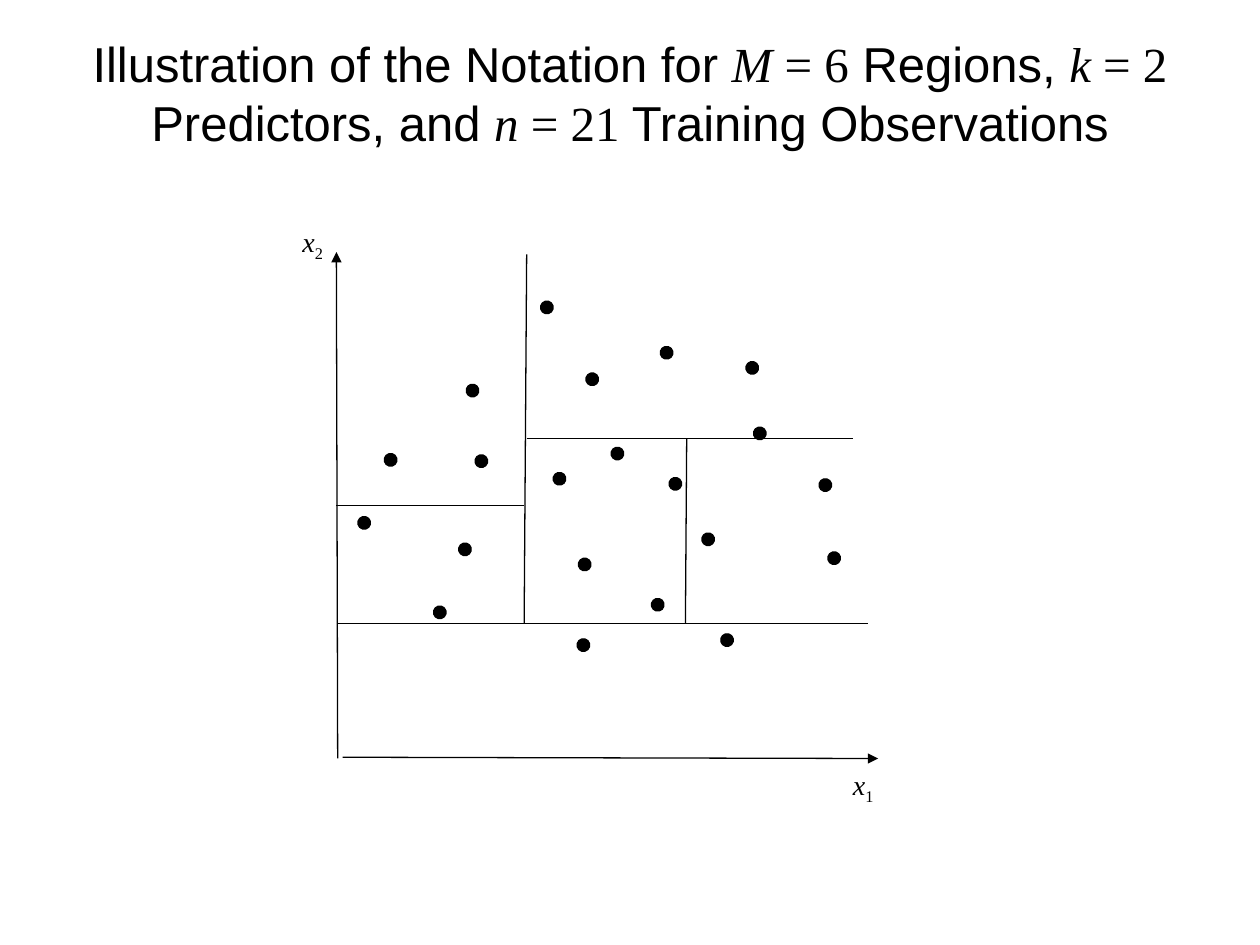
from dataclasses import dataclass

from lxml.etree import SubElement
from pptx import Presentation
from pptx.dml.color import RGBColor
from pptx.enum.shapes import MSO_CONNECTOR as LINK, MSO_SHAPE as SHAPE
from pptx.enum.text import MSO_ANCHOR as ANCHOR, MSO_AUTO_SIZE as FIT, PP_ALIGN as ALIGN
from pptx.oxml.ns import qn
from pptx.util import Inches, Pt


@dataclass(frozen=True)
class Theme:
    ink: RGBColor = RGBColor(0, 0, 0)
    sans: str = "Arial"
    serif: str = "Times New Roman"
    title: Pt = Pt(28)
    label: Pt = Pt(16)
    line: Pt = Pt(0.75)


theme = Theme()


def add_run(par, text, size, face, slant=False):
    run = par.add_run()
    run.text = text
    font = run.font
    font.size, font.name, font.italic = size, face, slant
    font.color.rgb = theme.ink
    return run


def add_line(x1, y1, x2, y2, arrow=False):
    line = slide.shapes.add_connector(LINK.STRAIGHT, *map(Inches, (x1, y1, x2, y2)))
    line.line.color.rgb = theme.ink
    line.line.width = theme.line
    if arrow:
        SubElement(line.line._get_or_add_ln(), qn("a:tailEnd"), type="triangle")
    SubElement(line._element.spPr, qn("a:effectLst"))


deck = Presentation()
deck.slide_width, deck.slide_height = Inches(10), Inches(7.5)
slide = deck.slides.add_slide(deck.slide_layouts[5])

# Title, with the symbols in serif
title = slide.shapes.title
title.left, title.top = Inches(0.5), Inches(0.3)
title.width, title.height = Inches(9), Inches(0.87)
frame = title.text_frame
frame.word_wrap = True
frame.auto_size = FIT.NONE
frame.vertical_anchor = ANCHOR.MIDDLE
par = frame.paragraphs[0]
par.alignment = ALIGN.CENTER
for text, face, slant in [
    ("Illustration of the Notation for ", theme.sans, False),
    ("M", theme.serif, True),
    (" = 6", theme.serif, False),
    (" Regions, ", theme.sans, False),
    ("k ", theme.serif, True),
    ("= 2", theme.serif, False),
    (" Predictors, and ", theme.sans, False),
    ("n ", theme.serif, True),
    ("= 21 ", theme.serif, False),
    ("Training Observations", theme.sans, False),
]:
    add_run(par, text, theme.title, face, slant)

# Axes
add_line(2.72, 6.01, 6.97, 6.02, arrow=True)
add_line(2.68, 6.02, 2.67, 2, arrow=True)

# Axis labels
for x, y, index in [(6.77, 6.09, "1"), (2.4, 1.78, "2")]:
    box = slide.shapes.add_textbox(Inches(x), Inches(y), Inches(0.83), Inches(0.49))
    frame = box.text_frame
    frame.word_wrap = True
    frame.margin_left = frame.margin_right = frame.margin_top = frame.margin_bottom = 0
    par = frame.paragraphs[0]
    add_run(par, "x", theme.label, theme.serif, True)
    sub = add_run(par, index, theme.label, theme.serif)
    sub.font._element.set("baseline", "-25000")

# Region borders
for ends in [
    (2.68, 4.95, 6.89, 4.95),
    (4.18, 3.48, 6.77, 3.48),
    (4.16, 4.95, 4.18, 2.02),
    (2.67, 4.01, 4.16, 4.01),
    (5.44, 4.95, 5.45, 3.48),
]:
    add_line(*ends)

# Training observations, by region
dots = [
    (3.7, 3.05), (3.05, 3.6), (3.77, 3.61),
    (2.84, 4.1), (3.64, 4.31), (3.44, 4.81),
    (4.29, 2.39), (5.24, 2.75), (4.65, 2.96), (5.92, 2.87), (5.98, 3.39),
    (4.85, 3.55), (4.39, 3.75), (5.31, 3.79), (4.59, 4.43), (5.17, 4.75),
    (5.57, 4.23), (6.5, 3.8), (6.57, 4.38),
    (4.58, 5.07), (5.72, 5.03),
]
for x, y in dots:
    dot = slide.shapes.add_shape(SHAPE.OVAL, Inches(x), Inches(y), Inches(0.1), Inches(0.1))
    dot.rotation = 45
    dot.shadow.inherit = False
    dot.fill.solid()
    dot.fill.fore_color.rgb = dot.line.color.rgb = theme.ink
    dot.line.width = theme.line

deck.save("out.pptx")
